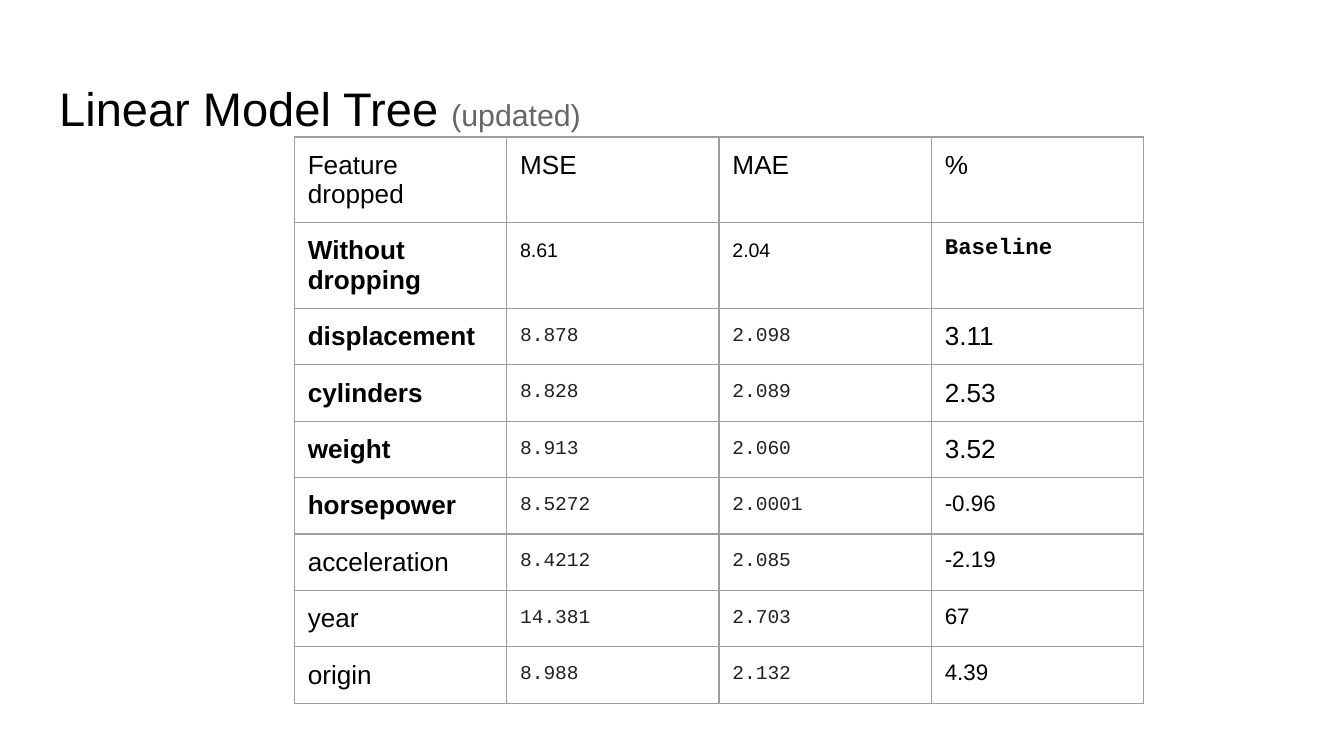
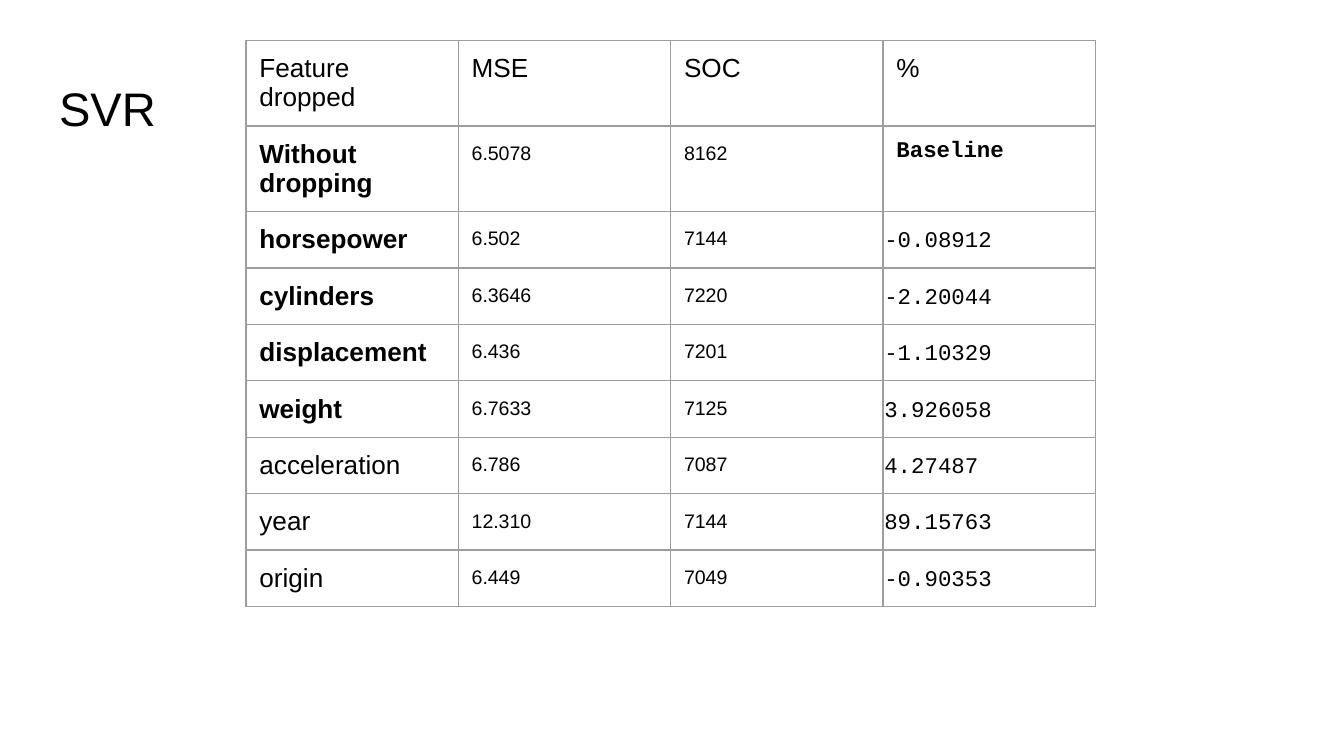
from lxml.etree import SubElement
from pptx import Presentation
from pptx.dml.color import RGBColor
from pptx.enum.text import MSO_ANCHOR, MSO_AUTO_SIZE, PP_ALIGN
from pptx.oxml import parse_xml
from pptx.oxml.ns import nsdecls, qn
from pptx.util import Inches, Pt

BLACK = RGBColor(0x00, 0x00, 0x00)
INK = RGBColor(0x21, 0x21, 0x21)
GRAY = RGBColor(0x66, 0x66, 0x66)
RULE = RGBColor(0x9E, 0x9E, 0x9E)
WHITE = RGBColor(0xFF, 0xFF, 0xFF)
SANS, MONO = "Arial", "Courier New"

TREE = [
    ("Feature dropped", "MSE", "MAE", "%"),
    ("Without dropping", "8.61", "2.04", "Baseline"),
    ("displacement", "8.878", "2.098", "3.11"),
    ("cylinders", "8.828", "2.089", "2.53"),
    ("weight", "8.913", "2.060", "3.52"),
    ("horsepower", "8.5272", "2.0001", "-0.96"),
    ("acceleration", "8.4212", "2.085", "-2.19"),
    ("year", "14.381", "2.703", "67"),
    ("origin", "8.988", "2.132", "4.39"),
]
SVR = [
    ("Feature dropped", "MSE", "SOC", "%"),
    ("Without dropping", "6.5078", "8162", "Baseline"),
    ("horsepower", "6.502", "7144", "-0.08912"),
    ("cylinders", "6.3646", "7220", "-2.20044"),
    ("displacement", "6.436", "7201", "-1.10329"),
    ("weight", "6.7633", "7125", "3.926058"),
    ("acceleration", "6.786", "7087", "4.27487"),
    ("year", "12.310", "7144", "89.15763"),
    ("origin", "6.449", "7049", "-0.90353"),
]
SLIDES = [
    {"title": [("Linear Model Tree ", 25.2, BLACK), ("(updated)", 16.2, GRAY)],
     "rows": TREE, "at": (2.19, 1.02), "code": True},
    {"title": [("SVR", 25.2, BLACK)],
     "rows": SVR, "at": (1.83, 0.3), "code": False},
]
COL, ROW, PAD, THIN = 1.58, 0.42, 0.1, 0.01
BOLD_ROWS = range(1, 6)


def add_run(para, text, size, color=BLACK, face=SANS, bold=False):
    run = para.add_run()
    run.text = text
    font = run.font
    font.size, font.name, font.bold = Pt(size), face, bold
    font.color.rgb = color
    return run


def mark(run):
    fill = run._r.get_or_add_rPr().find(qn("a:solidFill"))
    fill.addnext(parse_xml(
        f'<a:highlight {nsdecls("a")}><a:srgbClr val="{WHITE}"/></a:highlight>'))


def add_rules(cell):
    props = cell._tc.get_or_add_tcPr()
    for i, side in enumerate(("lnL", "lnR", "lnT", "lnB")):
        line = SubElement(props, qn(f"a:{side}"), w=str(int(Pt(0.75))))
        fill = SubElement(line, qn("a:solidFill"))
        SubElement(fill, qn("a:srgbClr"), val=str(RULE))
        props.insert(i, line)


def get_style(row, col, code):
    if row == 0:
        return {"size": 14}
    if col == 0:
        return {"size": 14, "bold": row in BOLD_ROWS}
    if col < 3:
        if code and row > 1:
            return {"size": 10.5, "face": MONO, "color": INK}
        return {"size": 10.5}
    if row == 1:
        return {"size": 12, "face": MONO, "bold": True}
    if code:
        return {"size": 14 if row < 5 else 12}
    return {"size": 12, "face": MONO}


def fill_cell(cell, text, row, col, code):
    low = col == 3 and row > 1 and not code
    pad = Inches(THIN if low else PAD)
    cell.margin_left = cell.margin_right = cell.margin_top = pad
    cell.margin_bottom = Inches(PAD)
    cell.vertical_anchor = MSO_ANCHOR.BOTTOM if low else MSO_ANCHOR.TOP
    cell.fill.background()
    add_rules(cell)
    para = cell.text_frame.paragraphs[0]
    if low or (row and col in (1, 2)):
        para.line_spacing = 1.15
    style = get_style(row, col, code)
    run = add_run(para, text, **style)
    if style.get("color") == INK:
        mark(run)


def add_title(slide, runs):
    title = slide.shapes.title
    title.left, title.top = Inches(0.34), Inches(0.49)
    title.width, title.height = Inches(9.32), Inches(0.63)
    frame = title.text_frame
    frame.word_wrap = True
    frame.auto_size = MSO_AUTO_SIZE.NONE
    frame.vertical_anchor = MSO_ANCHOR.TOP
    frame.margin_left = frame.margin_right = Inches(PAD)
    frame.margin_top = frame.margin_bottom = Inches(PAD)
    para = frame.paragraphs[0]
    para.alignment = PP_ALIGN.LEFT
    for text, size, color in runs:
        add_run(para, text, size, color)


def add_grid(slide, rows, at, code):
    count, wide = len(rows), len(rows[0])
    left, top = at
    table = slide.shapes.add_table(
        count, wide, Inches(left), Inches(top),
        Inches(COL * wide), Inches(ROW * count)).table
    table.first_row = table.horz_banding = False
    for col in table.columns:
        col.width = Inches(COL)
    for r, row in enumerate(rows):
        table.rows[r].height = Inches(ROW)
        for c, text in enumerate(row):
            fill_cell(table.cell(r, c), text, r, c, code)


def main():
    deck = Presentation()
    deck.slide_width = Inches(10)
    deck.slide_height = deck.slide_width * 9 // 16
    for item in SLIDES:
        slide = deck.slides.add_slide(deck.slide_layouts[5])
        slide.background.fill.solid()
        slide.background.fill.fore_color.rgb = WHITE
        add_title(slide, item["title"])
        add_grid(slide, item["rows"], item["at"], item["code"])
    deck.save("out.pptx")


if __name__ == "__main__":
    main()
